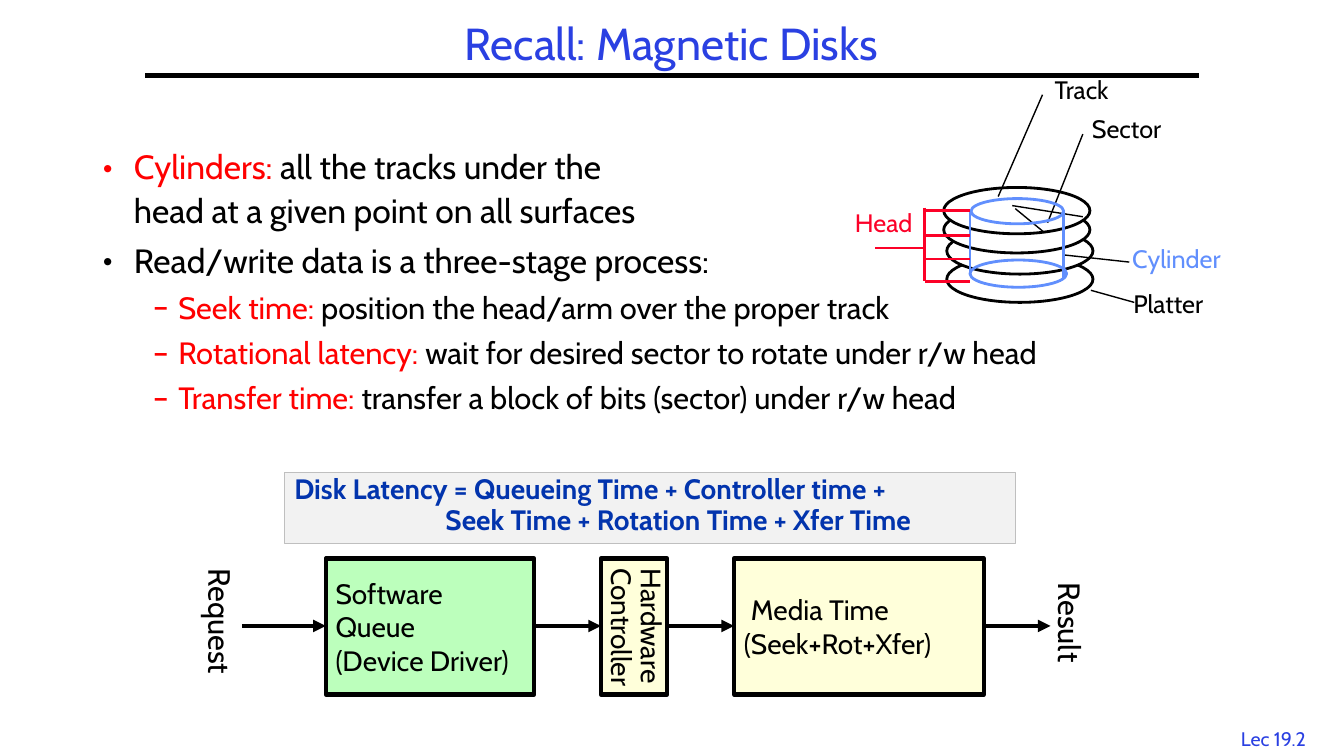
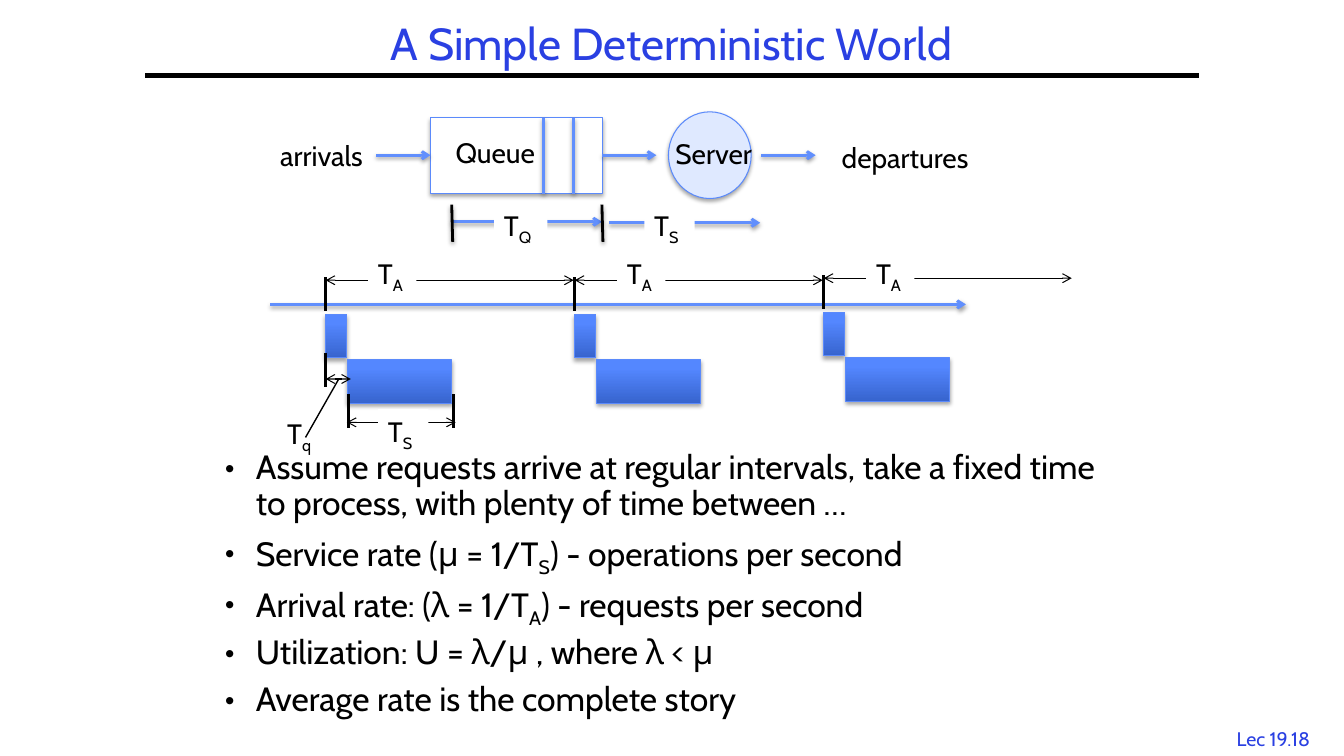
"""Build two lecture slides on disk latency and deterministic queueing."""
import pptx
import pptx.util
import pptx.dml.color
import pptx.enum.shapes
import pptx.enum.text
import pptx.oxml.ns
from lxml import etree

BLACK, WHITE, RED = "000000", "FFFFFF", "FF0000"
TITLE_BLUE, SKY, EDGE_BLUE, FORMULA_BLUE = "2A40E2", "618FFD", "5B8AFB", "0234AD"
HEAD_RED, CREAM, MINT = "FC0128", "FFFFDA", "BCFFBC"
GRADIENT = ("3764CE", "5487FF")
FONT = "Cabin"
SHAPES = pptx.enum.shapes.MSO_SHAPE
ANCHOR = pptx.enum.text.MSO_ANCHOR
ALIGN = pptx.enum.text.PP_ALIGN


def rgb(value):
    """Turn a hex string into a colour."""
    return pptx.dml.color.RGBColor.from_string(value)


def grid(cells):
    """Turn columns or rows of the one-inch grid into a length."""
    return pptx.util.Inches(cells)


def child(parent, tag, **attributes):
    """Append a drawing element with the given attributes."""
    element = etree.SubElement(parent, pptx.oxml.ns.qn(tag))
    for key, value in attributes.items():
        element.set(key, str(value))
    return element


def add_text(paragraph, text, size=20, color=BLACK, bold=False, sub=False):
    """Append text to a paragraph, breaking at each newline."""
    for index, line in enumerate(text.split("\n")):
        if index:
            paragraph.add_line_break()
        run = paragraph.add_run()
        run.text = line
        run.font.name, run.font.size = FONT, pptx.util.Pt(size)
        run.font.bold, run.font.color.rgb = bold, rgb(color)
        if sub:
            run.font._element.set("baseline", "-25000")


def sub(letter):
    """Return a subscript run."""
    return letter, {"sub": True}


def red(text):
    """Return a highlighted run."""
    return text, {"color": RED}


def cast_shadow(effects, opacity, distance):
    """Add a soft downward shadow to an effect list."""
    shadow = child(effects, "a:outerShdw", blurRad=pptx.util.Pt(3.1),
                   dist=pptx.util.Pt(distance), dir=5400000, rotWithShape=0)
    child(child(shadow, "a:srgbClr", val=BLACK), "a:alpha", val=opacity * 1000)


class Lecture:
    """Hold the lecture style and the current slide."""

    def __init__(self):
        """Open an empty wide presentation."""
        self.deck = pptx.Presentation()
        self.deck.slide_width, self.deck.slide_height = grid(13.33), grid(7.5)

    def start(self, title, number):
        """Start a slide with its title, rule and lecture number."""
        self.slide = self.deck.slides.add_slide(self.deck.slide_layouts[5])
        heading = self.slide.shapes.title
        heading.left, heading.top = grid(1.44), grid(0.17)
        heading.width, heading.height = grid(10.44), grid(0.58)
        self.fill_frame(heading.text_frame, [title], size=32, color=TITLE_BLUE,
                        align=ALIGN.CENTER, spacing=0.9, anchor=ANCHOR.MIDDLE)
        self.line((1.44, 0.75), (11.89, 0.75), weight=3)
        self.label((12.09, 7.16, 1.08, 0.33), [f"Lec {number}"], size=14,
                   color=TITLE_BLUE, align=ALIGN.CENTER)

    def fill_frame(self, frame, paragraphs, align=ALIGN.LEFT, spacing=1.0, before=0,
                   anchor=ANCHOR.TOP, wrap=True, inset=(0.1, 0.05), indents=(),
                   **style):
        """Write paragraphs made of plain or formatted runs into a frame."""
        frame.word_wrap, frame.vertical_anchor = wrap, anchor
        frame.margin_left = frame.margin_right = grid(inset[0])
        frame.margin_top = frame.margin_bottom = grid(inset[1])
        for index, runs in enumerate(paragraphs):
            paragraph = frame.add_paragraph() if index else frame.paragraphs[0]
            paragraph.alignment, paragraph.line_spacing = align, spacing
            paragraph.space_before = pptx.util.Pt(before if index else 0)
            if indents:
                paragraph._p.get_or_add_pPr().set("marL", str(grid(indents[index])))
            for run in [runs] if isinstance(runs, str) else runs:
                text, extra = (run, {}) if isinstance(run, str) else run
                add_text(paragraph, text, **{**style, **extra})

    def label(self, box, paragraphs, fill=None, turn=0, **style):
        """Add unwrapped text, on a plain ground if one is given."""
        note = self.slide.shapes.add_textbox(*map(grid, box))
        note.rotation = turn
        if fill:
            note.fill.solid()
            note.fill.fore_color.rgb = rgb(fill)
        self.fill_frame(note.text_frame, paragraphs, wrap=False, **style)

    def bullets(self, box, items, spacing, share):
        """Add bulleted items, each a level followed by its runs."""
        body = self.slide.shapes.add_textbox(*map(grid, box)).text_frame
        self.fill_frame(body, [runs for _, runs in items], spacing=spacing, size=24)
        for index, (level, _) in enumerate(items):
            paragraph, size = body.paragraphs[index], (24, 22)[level]
            paragraph.level = level
            paragraph.space_before = pptx.util.Pt(size * share if index else 0)
            properties = paragraph._p.get_or_add_pPr()
            properties.set("marL", str(grid((0.31, 0.75)[level])))
            properties.set("indent", str(grid((-0.31, -0.25)[level])))
            child(properties, "a:buFont", typeface=FONT)
            child(properties, "a:buChar", char="•–"[level])
            for run in paragraph.runs:
                run.font.size = pptx.util.Pt(size)

    def shape(self, kind, box, fill=None, edge=BLACK, weight=2, shadow=False,
              paragraphs=(), vertical=False, **style):
        """Add an outlined shape with optional text."""
        figure = self.slide.shapes.add_shape(kind, *map(grid, box))
        if fill is None:
            figure.fill.background()
        elif fill == GRADIENT:
            figure.fill.gradient()
            figure.fill.gradient_angle = 90
            for stop, color, place in zip(figure.fill.gradient_stops, fill, (0, 0.8)):
                stop.color.rgb, stop.position = rgb(color), place
        else:
            figure.fill.solid()
            figure.fill.fore_color.rgb = rgb(fill)
        figure.line.color.rgb = rgb(edge)
        figure.line.width = pptx.util.Pt(weight)
        figure.shadow.inherit = False
        if shadow:
            cast_shadow(figure._element.spPr.find(pptx.oxml.ns.qn("a:effectLst")), 35, 1.8)
        if paragraphs:
            self.fill_frame(figure.text_frame, paragraphs, **style)
        if vertical:
            figure.text_frame._txBody.bodyPr.set("vert", "eaVert")

    def line(self, begin, end, color=BLACK, weight=2.0, head=None, tail=None, shadow=False):
        """Add a straight line with optional arrowheads."""
        stroke = self.slide.shapes.add_connector(
            pptx.enum.shapes.MSO_CONNECTOR.STRAIGHT, *map(grid, (*begin, *end)))
        stroke.line.color.rgb, stroke.line.width = rgb(color), pptx.util.Pt(weight)
        properties = stroke._element.spPr
        outline = properties.find(pptx.oxml.ns.qn("a:ln"))
        for tag, style in (("a:headEnd", head), ("a:tailEnd", tail)):
            if style:
                child(outline, tag, type=style)
        effects = child(properties, "a:effectLst")
        if shadow:
            cast_shadow(effects, 38, 1.6)

    def flow(self, left, right, row):
        """Add a blue arrow pointing right."""
        self.line((left, row), (right, row), SKY, tail="arrow", shadow=True)

    def span(self, left, right, row):
        """Add a thin arrow with two heads that measures a time."""
        self.line((left, row), (right, row), weight=0.75, head="arrow", tail="arrow")

    def time(self, left, top, letter, width=0.5, fill=WHITE):
        """Add a time symbol with its subscript."""
        self.label((left, top, width, 0.44), [["T", sub(letter)]], fill=fill)


def draw_disk(lecture):
    """Draw the stack of platters with its heads and labels."""
    for left, top in ((9.39, 2.54), (9.39, 2.26), (9.36, 2.05), (9.36, 1.86)):
        lecture.shape(SHAPES.OVAL, (left, top, 1.45, 0.46), fill=WHITE)
    for begin, end in (((10.07, 2.07), (10.35, 2.3)), ((10.04, 2.04), (10.74, 2.15)),
                       ((10.39, 2.21), (10.74, 1.33)), ((9.9, 1.95), (10.34, 0.94)),
                       ((10.56, 2.53), (11.2, 2.6)), ((10.82, 2.88), (11.25, 3))):
        lecture.line(begin, end, weight=1)
    for cap in ((9.62, 2.58, 0.96, 0.27), (9.63, 1.97, 0.92, 0.25)):
        lecture.shape(SHAPES.OVAL, cap, edge=SKY)
    for column, bottom in ((9.62, 2.71), (10.55, 2.76)):
        lecture.line((column, 2.09), (column, bottom), SKY)
    lecture.line((9.17, 2.06), (9.17, 2.79), HEAD_RED)
    for row in (2.09, 2.34, 2.57, 2.79):
        lecture.line((9.17, row), (9.62, row), HEAD_RED)
    lecture.line((9.18, 2.46), (8.68, 2.46), HEAD_RED)
    for part, left, top, width, color in (
            ("Sector", 10.76, 1.14, 0.87, BLACK), ("Track", 10.39, 0.75, 0.76, BLACK),
            ("Cylinder", 11.16, 2.43, 1.07, SKY), ("Head", 8.41, 2.07, 0.74, HEAD_RED),
            ("Platter", 11.17, 2.88, 0.87, BLACK)):
        lecture.label((left, top, width, 0.31), [part], size=18, color=color,
                      spacing=0.85, inset=(0.07, 0.03))


def draw_request_path(lecture):
    """Draw the stages that a disk request passes through."""
    stages = (
        (3.23, 2.07, MINT, ["Software", "Queue", "(Device Driver)"], {}),
        (5.96, 0.66, CREAM, ["Hardware", "Controller"],
         {"vertical": True, "wrap": False, "inset": (0.05, 0.05),
          "spacing": 0.8, "before": 2}),
        (7.28, 2.48, CREAM, ["Media Time", "(Seek+Rot+Xfer)"], {"indents": (0.07, 0)}))
    for left, width, fill, names, style in stages:
        lecture.shape(SHAPES.RECTANGLE, (left, 5.54, width, 1.35), fill=fill, weight=3,
                      paragraphs=names, anchor=ANCHOR.MIDDLE, **style)
    for left, right in ((2.4, 3.23), (5.29, 5.96), (6.62, 7.28), (9.76, 10.42)):
        lecture.line((left, 6.21), (right, 6.21), weight=3, tail="triangle")
    for name, left, width in (("Request", 1.51, 1.35), ("Result", 10.08, 1.07)):
        lecture.label((left, 5.98, width, 0.47), [name], turn=90, size=22)


def magnetic_disks(lecture):
    """Build the slide on magnetic disks."""
    lecture.start("Recall: Magnetic Disks", "19.2")
    lecture.bullets((0.92, 1.36, 11.5, 3.28), [
        (0, [red("Cylinders: "),
             "all the tracks under the\nhead at a given point on all surfaces"]),
        (0, "Read/write data is a three-stage process:"),
        (1, [red("Seek time: "), "position the head/arm over the proper track"]),
        (1, [red("Rotational latency: "),
             "wait for desired sector to rotate under r/w head"]),
        (1, [red("Transfer time: "),
             "transfer a block of bits (sector) under r/w head"])], 1.1, 0.15)
    draw_disk(lecture)
    draw_request_path(lecture)
    lecture.shape(SHAPES.RECTANGLE, (2.82, 4.69, 7.25, 0.7), fill="F2F2F2",
                  edge="BFBFBF", weight=0.75, bold=True, color=FORMULA_BLUE,
                  spacing=0.8, before=3, indents=(0, 1.5),
                  paragraphs=["Disk Latency = Queueing Time + Controller time +",
                              "Seek Time + Rotation Time + Xfer Time"])


def draw_queue(lecture):
    """Draw the queue and the server with their times."""
    lecture.flow(6.04, 7.54, 2.21)
    lecture.flow(4.48, 5.97, 2.2)
    lecture.shape(SHAPES.RECTANGLE, (4.27, 1.17, 1.71, 0.75), fill=WHITE,
                  edge=EDGE_BLUE, weight=0.75, shadow=True)
    for column in (5.39, 5.69):
        lecture.line((column, 1.17), (column, 1.92), SKY, shadow=True)
    lecture.shape(SHAPES.OVAL, (6.63, 1.11, 0.82, 0.86), fill="DFE9FF",
                  edge=EDGE_BLUE, weight=0.75, shadow=True)
    for name, left, top, width in (("Queue", 4.42, 1.3, 1.04), ("Server", 6.6, 1.31, 1.03),
                                   ("arrivals", 2.68, 1.33, 1.11),
                                   ("departures", 8.25, 1.34, 1.54)):
        lecture.label((left, top, width, 0.44), [name])
    for left in (3.73, 5.97, 7.55):
        lecture.flow(left, left + 0.54, 1.54)
    lecture.time(4.9, 2.02, "Q", width=0.53)
    lecture.time(6.39, 2.02, "S")
    for column in (4.48, 5.97):
        lecture.line((column, 2.03), (column + 0.01, 2.4), shadow=True)


def draw_timeline(lecture):
    """Draw three equal arrival periods and the times in the first."""
    lecture.flow(2.68, 9.58, 3.02)
    for period, lift in enumerate((0, 0, 0.02)):
        left = 3.23 + 2.47 * period
        for block in ((left, 3.12 - lift, 0.21, 0.43), (left + 0.22, 3.57 - lift, 1.03, 0.43)):
            lecture.shape(SHAPES.RECTANGLE, block, fill=GRADIENT, edge=EDGE_BLUE,
                          weight=0.75, shadow=True)
        lecture.span(left, left + 2.46, 2.78 - lift)
        lecture.time(left + 0.42, 2.5, "A", width=0.48)
        lecture.line((left, 2.75 - lift), (left, 3.09 - lift))
    lecture.span(3.44, 4.52, 4.19)
    for column, top in ((3.46, 3.91), (4.5, 3.91), (3.23, 3.5)):
        lecture.line((column, top), (column, top + 0.34))
    lecture.time(3.75, 4.06, "S")
    lecture.span(3.23, 3.48, 3.76)
    lecture.line((3.36, 3.76), (3.03, 4.34), weight=1)
    lecture.time(2.75, 4.08, "q", width=0.48, fill=None)


def deterministic_world(lecture):
    """Build the slide on regular arrivals."""
    lecture.start("A Simple Deterministic World", "19.18")
    lecture.bullets((2.13, 4.42, 9, 3.08), [
        (0, "Assume requests arrive at regular intervals, take a fixed time "
            "to process, with plenty of time between …"),
        (0, ["Service rate (μ = 1/T", sub("S"), ") - operations per second"]),
        (0, ["Arrival rate: (λ = 1/T", sub("A"), ") - requests per second"]),
        (0, "Utilization: U = λ/μ , where λ < μ"),
        (0, "Average rate is the complete story")], 0.9, 0.3)
    draw_queue(lecture)
    draw_timeline(lecture)


def main():
    """Build and save the lecture."""
    lecture = Lecture()
    magnetic_disks(lecture)
    deterministic_world(lecture)
    lecture.deck.save("out.pptx")


if __name__ == "__main__":
    main()
